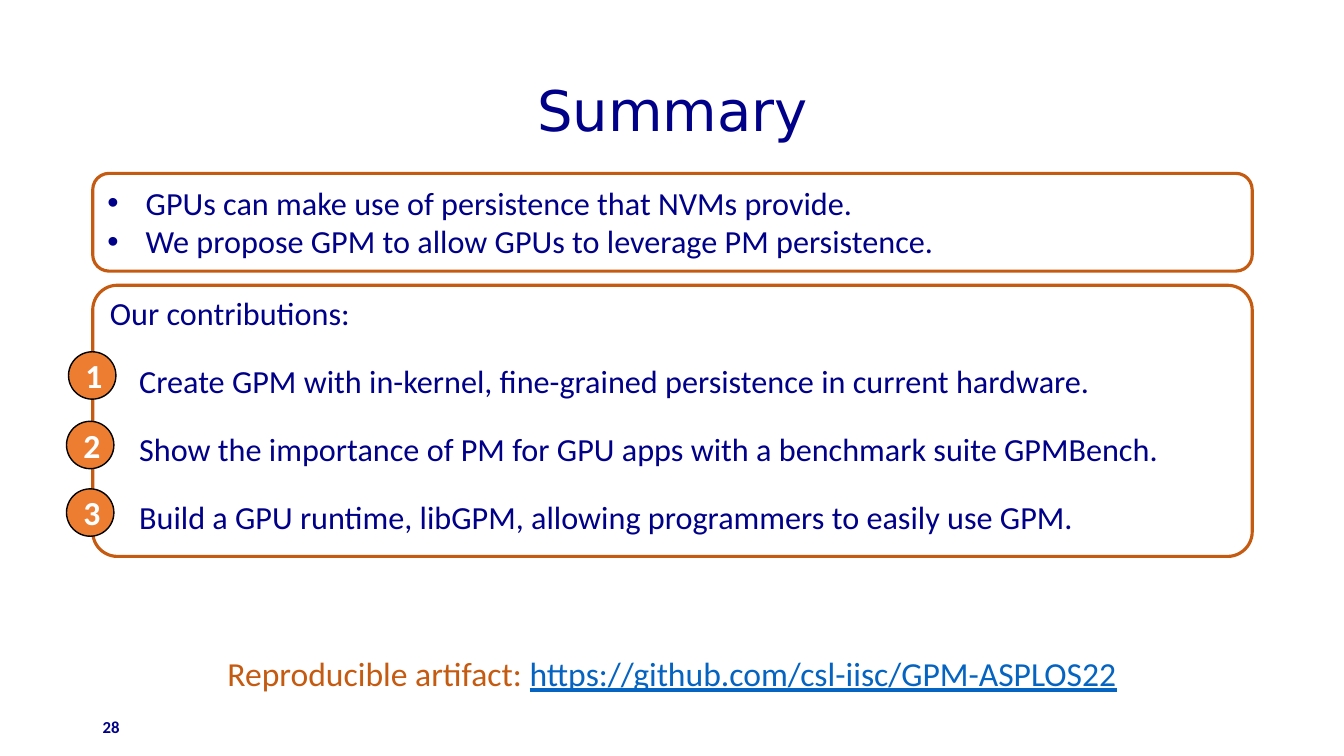
"""Build the closing summary slide of the GPM talk."""
from lxml.etree import SubElement
from pptx import Presentation
from pptx.dml.color import RGBColor
from pptx.enum.shapes import MSO_SHAPE
from pptx.enum.text import MSO_ANCHOR, PP_ALIGN
from pptx.oxml.ns import qn
from pptx.util import Pt

PX = 9144
NAVY, RUST, ORANGE, LINK = "000088", "C55A11", "ED7D31", "0563C1"
BLACK, WHITE = "000000", "FFFFFF"


def rgb(value):
    return RGBColor.from_string(value)


def write(frame, text, new=False, size=23, color=NAVY, font="Calibri", bold=False,
          underline=False, align=PP_ALIGN.LEFT, spacing=1.0, before=0,
          indent=0, bullet=None):
    paragraph = frame.add_paragraph() if new else frame.paragraphs[-1]
    if not paragraph.runs:
        paragraph.alignment = align
        paragraph.line_spacing = spacing
        paragraph.space_before = Pt(before)
        properties = paragraph._p.get_or_add_pPr()
        properties.set("marL", str(indent * PX))
        if bullet:
            properties.set("indent", str(-indent * PX))
            SubElement(properties, qn("a:buFont"), typeface="Arial")
            SubElement(properties, qn("a:buChar"), char=bullet)
    run = paragraph.add_run()
    run.text = text
    run.font.size = Pt(size)
    run.font.name = font
    run.font.bold = bold
    run.font.underline = underline
    run.font.color.rgb = rgb(color)


deck = Presentation()
deck.slide_width, deck.slide_height = 1333 * PX, 750 * PX
slide = deck.slides.add_slide(deck.slide_layouts[6])

title = slide.shapes.add_textbox(92 * PX, 40 * PX, 1150 * PX, 145 * PX).text_frame
title.word_wrap = True
title.vertical_anchor = MSO_ANCHOR.MIDDLE
write(title, "Summary", size=40, font="DejaVu Sans", align=PP_ALIGN.CENTER, spacing=0.9)

panels = []
for top, height, rounding in ((283, 269, 0.091), (172, 97, 0.167)):
    panel = slide.shapes.add_shape(
        MSO_SHAPE.ROUNDED_RECTANGLE, 92 * PX, top * PX, 1150 * PX, height * PX)
    panel.adjustments[0] = rounding
    panel.shadow.inherit = False
    panel.fill.background()
    panel.line.color.rgb = rgb(RUST)
    panel.line.width = Pt(2.25)
    panel.text_frame.word_wrap = True
    panel.text_frame.vertical_anchor = MSO_ANCHOR.TOP
    panels.append(panel.text_frame)
contributions, claims = panels

write(contributions, "Our contributions:", spacing=0.9)
for contribution in (
    "Create GPM with in-kernel, fine-grained persistence in current hardware.",
    "Show the importance of PM for GPU apps with a benchmark suite GPMBench.",
    "Build a GPU runtime, libGPM, allowing programmers to easily use GPM.",
):
    write(contributions, contribution, new=True, spacing=1.4, before=10, indent=29)

for index, claim in enumerate((
    "GPUs can make use of persistence that NVMs provide.",
    "We propose GPM to allow GPUs to leverage PM persistence.",
)):
    write(claims, claim, new=index > 0, indent=38, bullet="•")

artifact = slide.shapes.add_textbox(211 * PX, 643 * PX, 911 * PX, 50 * PX).text_frame
artifact.word_wrap = False
write(artifact, "Reproducible artifact: ", size=24, color=RUST, align=PP_ALIGN.CENTER)
write(artifact, "https://github.com/csl-iisc/GPM-ASPLOS22", size=24, color=LINK, underline=True)

page_number = slide.shapes.add_textbox(92 * PX, 701 * PX, 300 * PX, 40 * PX).text_frame
page_number.word_wrap = True
page_number.vertical_anchor = MSO_ANCHOR.MIDDLE
write(page_number, "28", size=12, bold=True)

for number, (left, top) in enumerate(((68, 349), (66, 418), (66, 485)), start=1):
    badge = slide.shapes.add_shape(MSO_SHAPE.OVAL, left * PX, top * PX, 47 * PX, 47 * PX)
    badge.shadow.inherit = False
    badge.fill.solid()
    badge.fill.fore_color.rgb = rgb(ORANGE)
    badge.line.color.rgb = rgb(BLACK)
    badge.line.width = Pt(1)
    badge.text_frame.vertical_anchor = MSO_ANCHOR.MIDDLE
    write(badge.text_frame, str(number), size=24, color=WHITE, bold=True, align=PP_ALIGN.CENTER)

deck.save("out.pptx")
